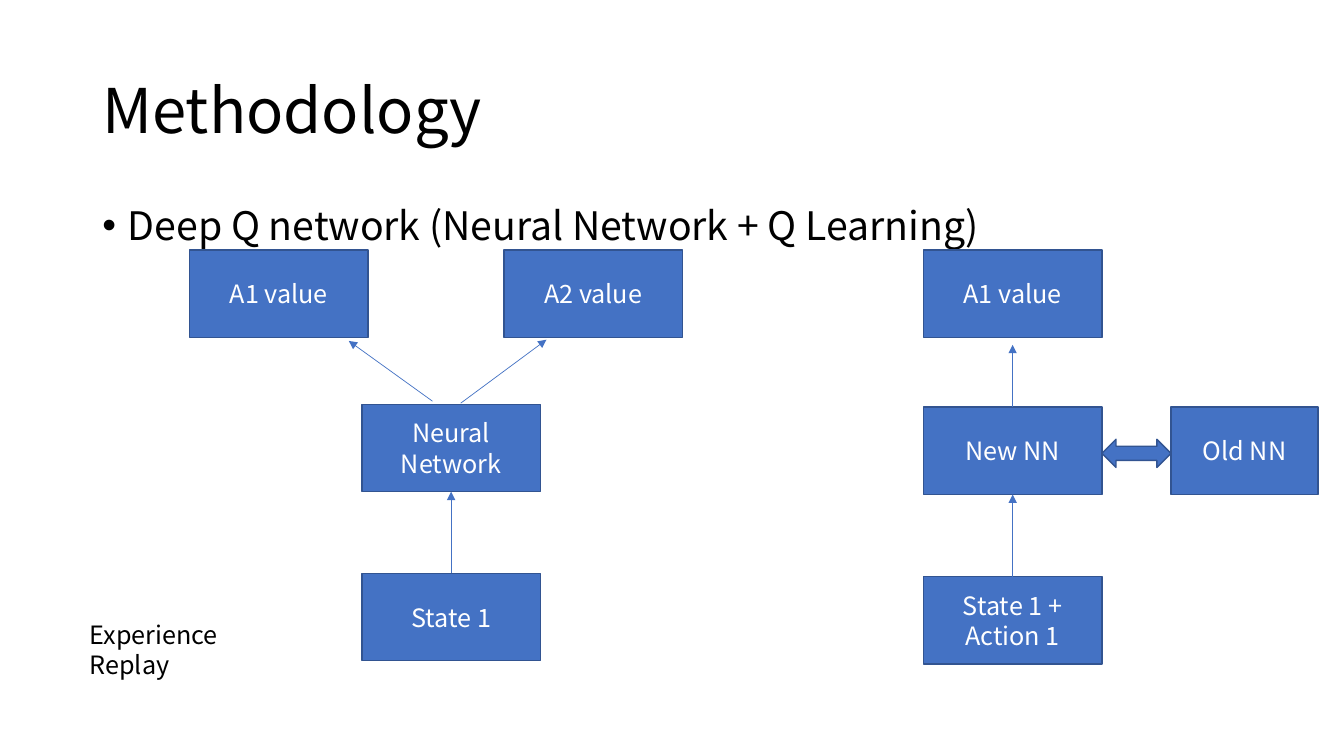
from lxml import etree
from pptx import Presentation
from pptx.dml.color import RGBColor
from pptx.enum.shapes import MSO_CONNECTOR, MSO_SHAPE
from pptx.enum.text import MSO_ANCHOR, PP_ALIGN
from pptx.oxml.ns import qn
from pptx.util import Cm, Pt

RECTANGLE, DOUBLE_ARROW = MSO_SHAPE.RECTANGLE, MSO_SHAPE.LEFT_RIGHT_ARROW
STRAIGHT = MSO_CONNECTOR.STRAIGHT
TOP, MIDDLE = MSO_ANCHOR.TOP, MSO_ANCHOR.MIDDLE
LEFT, CENTER = PP_ALIGN.LEFT, PP_ALIGN.CENTER

FONT = "Noto Sans CJK SC"
BLUE, EDGE, WHITE, BLACK = "4472C4", "325491", "FFFFFF", "000000"
NODE_W, OLD_W, NODE_H = 4.5, 3.71, 2.2

TEXTS = [
    ("Methodology", (2.33, 1.01, 29.21, 3.68), 44, MIDDLE, {"line_spacing": 0.9}),
    ("Deep Q network (Neural Network + Q Learning)", (2.33, 5.07, 29.21, 12.09), 28, TOP,
     {"line_spacing": 0.9, "space_before": Pt(10)}),
    ("Experience Replay", (2.01, 15.47, 5.54, 1.02), 18, TOP, {}),
]
BULLETED = TEXTS[1][0]
NODES = {
    "state": ("State 1", 9.12, 14.45, NODE_W),
    "network": ("Neural Network", 9.12, 10.19, NODE_W),
    "left value": ("A1 value", 4.78, 6.3, NODE_W),
    "right value": ("A2 value", 12.7, 6.3, NODE_W),
    "state action": ("State 1 + Action 1", 23.27, 14.53, NODE_W),
    "new": ("New NN", 23.27, 10.26, NODE_W),
    "new value": ("A1 value", 23.27, 6.3, NODE_W),
    "old": ("Old NN", 29.51, 10.26, OLD_W),
}
RISES = [("state", "network", 0), ("state action", "new", 0), ("new", "new value", 0.19)]
DIAGONALS = [((10.9, 10.11), (8.79, 8.59)), ((11.61, 10.16), (13.77, 8.56))]
EXCHANGE_Y, EXCHANGE_H = 11.07, 0.71


def color(code):
    return RGBColor.from_string(code)


def assign(target, values):
    for name, value in values.items():
        setattr(target, name, value)


def write(shape, text, size, ink, anchor, layout):
    frame = shape.text_frame
    assign(frame, {"word_wrap": True, "vertical_anchor": anchor})
    para = frame.paragraphs[0]
    assign(para, layout)
    span = para.add_run()
    span.text = text
    assign(span.font, {"name": FONT, "size": Pt(size)})
    span.font.color.rgb = color(ink)
    return para


def add_bullet(para):
    props = para._p.get_or_add_pPr()
    props.set("marL", str(Cm(0.64)))
    props.set("indent", str(-Cm(0.64)))
    etree.SubElement(props, qn("a:buFont")).set("typeface", "Arial")
    etree.SubElement(props, qn("a:buChar")).set("char", "•")


def add_block(page, kind, area):
    block = page.shapes.add_shape(kind, *map(Cm, area))
    block.shadow.inherit = False
    block.fill.solid()
    block.fill.fore_color.rgb = color(BLUE)
    block.line.color.rgb = color(EDGE)
    block.line.width = Pt(1)
    return block


def add_arrow(page, start, end):
    arrow = page.shapes.add_connector(STRAIGHT, *map(Cm, start + end))
    arrow.line.color.rgb = color(BLUE)
    arrow.line.width = Pt(0.5)
    etree.SubElement(arrow.line._get_or_add_ln(), qn("a:tailEnd")).set("type", "triangle")
    etree.SubElement(arrow._element.spPr, qn("a:effectLst"))


def main():
    """Build the Methodology slide with its two network diagrams."""
    deck = Presentation()
    assign(deck, {"slide_width": Cm(33.87), "slide_height": Cm(19.05)})
    page = deck.slides.add_slide(deck.slide_layouts[6])

    for text, area, size, anchor, layout in TEXTS:
        box = page.shapes.add_textbox(*map(Cm, area))
        para = write(box, text, size, BLACK, anchor, {"alignment": LEFT, **layout})
        if text == BULLETED:
            add_bullet(para)

    for text, left, top, width in NODES.values():
        node = add_block(page, RECTANGLE, (left, top, width, NODE_H))
        write(node, text, 18, WHITE, MIDDLE, {"alignment": CENTER})

    for source, target, gap in RISES:
        _, left, top, width = NODES[source]
        middle = left + width / 2
        add_arrow(page, (middle, top), (middle, NODES[target][2] + NODE_H + gap))
    for start, end in DIAGONALS:
        add_arrow(page, start, end)

    new_right = NODES["new"][1] + NODE_W
    exchange_w = NODES["old"][1] - new_right
    add_block(page, DOUBLE_ARROW, (new_right, EXCHANGE_Y, exchange_w, EXCHANGE_H))

    deck.save("out.pptx")


if __name__ == "__main__":
    main()
